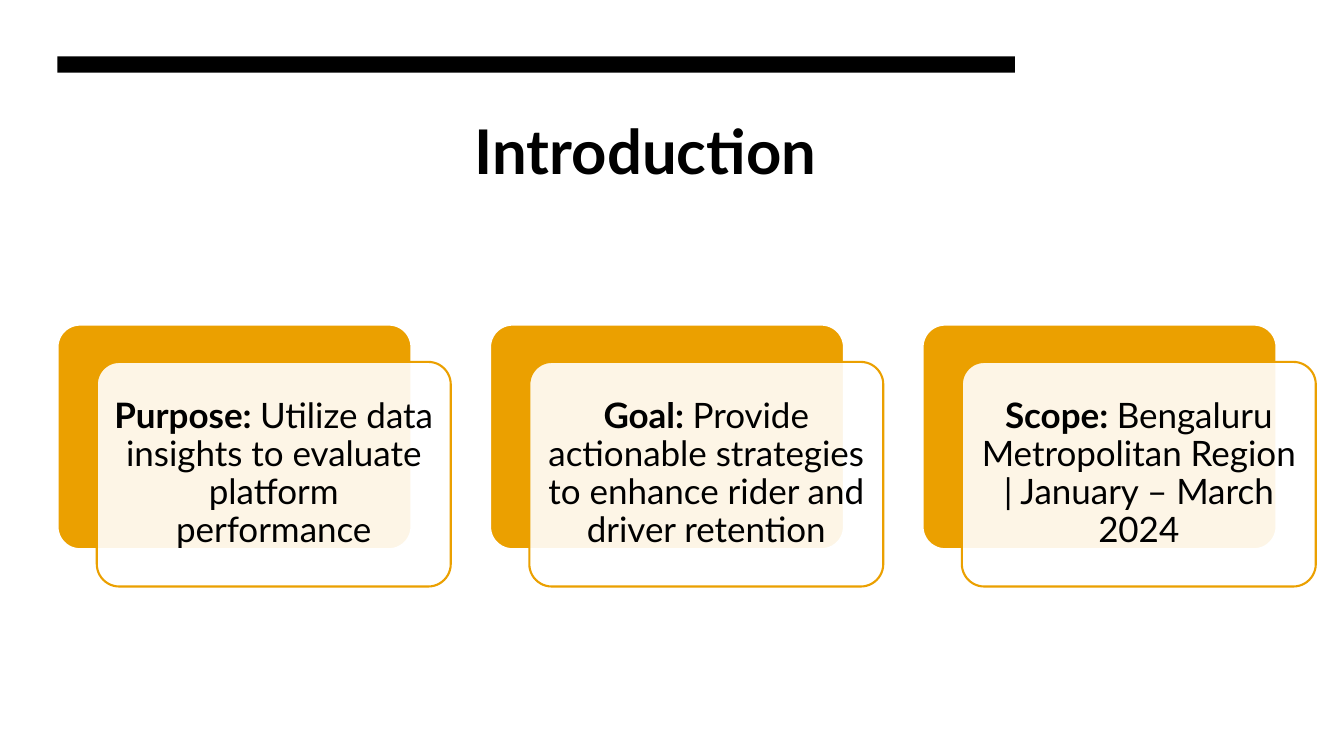
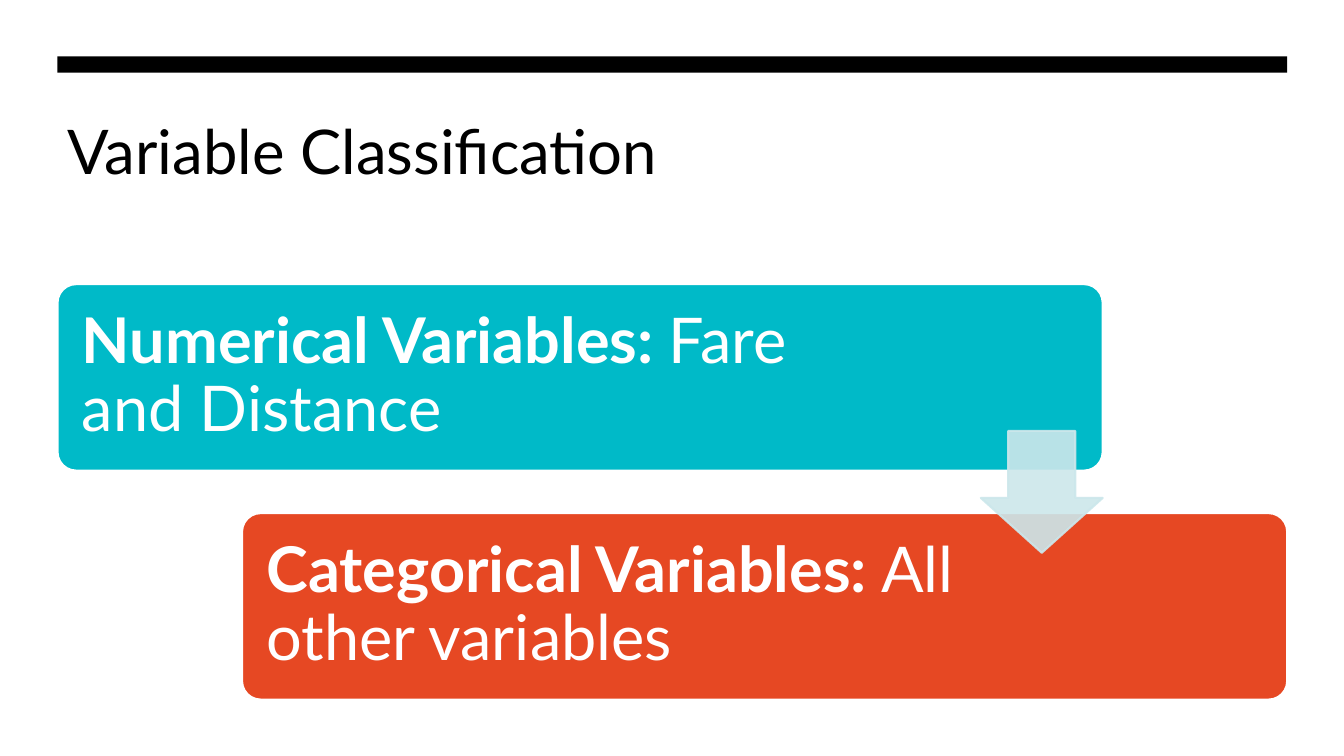
"""Builds an introduction slide with three cards and a variable classification slide."""
from lxml.etree import SubElement
from pptx import Presentation
from pptx.dml.color import RGBColor
from pptx.enum.shapes import MSO_SHAPE as Preset
from pptx.enum.text import MSO_ANCHOR as Anchor, MSO_AUTO_SIZE as AutoSize, PP_ALIGN as Align
from pptx.oxml.ns import qn
from pptx.util import Cm, Pt

CARDS = [
    ("Purpose: ", "Utilize data insights to evaluate platform performance"),
    ("Goal: ", "Provide actionable strategies to enhance rider and driver retention"),
    ("Scope: ", "Bengaluru Metropolitan Region | January – March 2024"),
]
BARS = [
    ("Numerical Variables: ", "Fare and Distance", "00BAC8", 5.09),
    ("Categorical Variables:", " All other variables", "E64823", 8.2),
]

FONT = "Lato"
BLACK, WHITE, AMBER, PALE = "000000", "FFFFFF", "EBA000", "CCE7EB"
LEFT, FULL_WIDTH = 1.45, 30.99
RULE_TOP, RULE_HEIGHT = 1.42, 0.41
TITLE_TOP, TITLE_HEIGHT = 2.72, 4.06
CARD_TOP, CARD_WIDTH, CARD_HEIGHT, CARD_STEP = 8.18, 8.92, 5.66, 10.9
CARD_SHIFT_X, CARD_SHIFT_Y = 0.99, 0.94
BAR_TOP, BAR_WIDTH, BAR_HEIGHT, BAR_STEP = 7.16, 26.34, 4.7, 5.77
ARROW_SIZE = 3.07


def rgb(color):
    return RGBColor.from_string(color)


def paint(fill, color, opacity=100):
    fill.solid()
    fill.fore_color.rgb = rgb(color)
    if opacity < 100:
        for tint in fill._xPr.iter(qn("a:srgbClr")):
            SubElement(tint, qn("a:alpha")).set("val", str(opacity * 1000))


def add_preset(slide, preset, box, color, outline=None, opacity=100, outline_opacity=100, adjust=()):
    shape = slide.shapes.add_shape(preset, *map(Cm, box))
    shape.shadow.inherit = False
    paint(shape.fill, color, opacity)
    if outline:
        shape.line.width = Pt(1.5)
        paint(shape.line.fill, outline, outline_opacity)
    else:
        shape.line.fill.background()
    for index, ratio in enumerate(adjust):
        shape.adjustments[index] = ratio
    return shape


def write_label(shape, lead, detail, size, color, align, margin, right_margin):
    frame = shape.text_frame
    frame.word_wrap = True
    frame.vertical_anchor = Anchor.MIDDLE
    frame.margin_left = frame.margin_top = frame.margin_bottom = Cm(margin)
    frame.margin_right = Cm(right_margin)
    label = frame.paragraphs[0]
    label.alignment = align
    label.line_spacing = 0.9
    label.font.name, label.font.size = FONT, Pt(size)
    label.font.color.rgb = rgb(color)
    for words, bold in ((lead, True), (detail, False)):
        run = label.add_run()
        run.text = words
        run.font.bold = bold


def add_titled_slide(deck, heading, rule_width, title_width, align=Align.LEFT, bold=False):
    slide = deck.slides.add_slide(deck.slide_layouts[5])
    title = slide.shapes.title
    title.left, title.top = Cm(LEFT), Cm(TITLE_TOP)
    title.width, title.height = Cm(title_width), Cm(TITLE_HEIGHT)
    frame = title.text_frame
    frame.text = heading
    frame.word_wrap = True
    frame.auto_size = AutoSize.NONE
    frame.vertical_anchor = Anchor.TOP
    line = frame.paragraphs[0]
    line.alignment = align
    line.font.name, line.font.size, line.font.bold = FONT, Pt(44), bold
    line.font.color.rgb = rgb(BLACK)
    add_preset(slide, Preset.RECTANGLE, (LEFT, RULE_TOP, rule_width, RULE_HEIGHT), BLACK)
    return slide


def build_introduction(deck):
    slide = add_titled_slide(deck, "Introduction", 24.13, 29.64, Align.CENTER, True)
    for index, (lead, detail) in enumerate(CARDS):
        left = LEFT + index * CARD_STEP
        size = (CARD_WIDTH, CARD_HEIGHT)
        add_preset(slide, Preset.ROUNDED_RECTANGLE, (left, CARD_TOP, *size),
                   AMBER, WHITE, adjust=[0.1])
        card = add_preset(slide, Preset.ROUNDED_RECTANGLE,
                          (left + CARD_SHIFT_X, CARD_TOP + CARD_SHIFT_Y, *size),
                          WHITE, AMBER, opacity=90, adjust=[0.1])
        write_label(card, lead, detail, 25, BLACK, Align.CENTER, 0.25, 0.25)


def build_classification(deck):
    slide = add_titled_slide(deck, "Variable Classification", FULL_WIDTH, FULL_WIDTH)
    for index, (lead, detail, color, right_margin) in enumerate(BARS):
        left = LEFT + index * (FULL_WIDTH - BAR_WIDTH)
        bar = add_preset(slide, Preset.ROUNDED_RECTANGLE,
                         (left, BAR_TOP + index * BAR_STEP, BAR_WIDTH, BAR_HEIGHT),
                         color, WHITE, adjust=[0.1])
        write_label(bar, lead, detail, 45, WHITE, Align.LEFT, 0.48, right_margin)
    gap_middle = BAR_TOP + (BAR_HEIGHT + BAR_STEP) / 2
    add_preset(slide, Preset.DOWN_ARROW,
               (LEFT + BAR_WIDTH - ARROW_SIZE, gap_middle - ARROW_SIZE / 2, ARROW_SIZE, ARROW_SIZE),
               PALE, PALE, opacity=90, outline_opacity=90, adjust=[0.55, 0.45])


def main():
    deck = Presentation()
    deck.slide_width, deck.slide_height = Cm(33.87), Cm(19.05)
    build_introduction(deck)
    build_classification(deck)
    deck.save("out.pptx")


if __name__ == "__main__":
    main()
